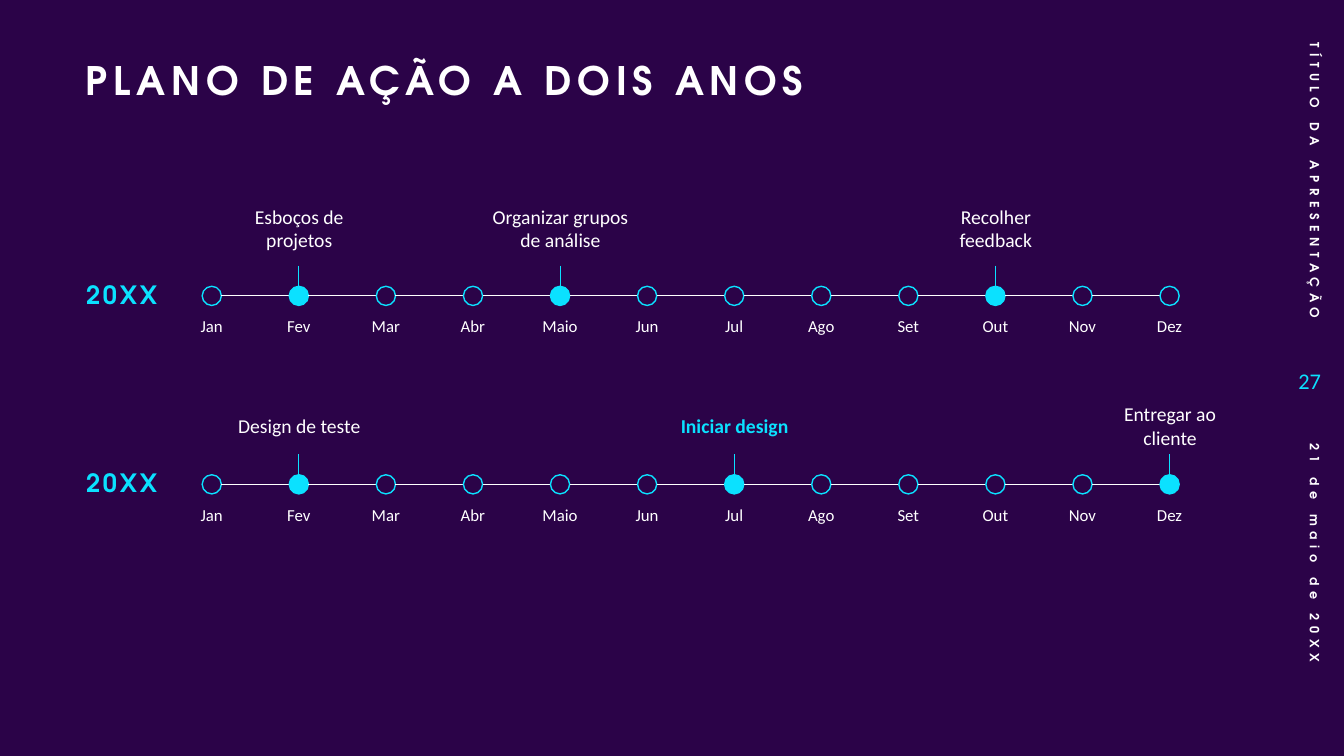
from pptx import Presentation
from pptx import util as u
from pptx.dml.color import RGBColor
from pptx.enum import shapes, text
from pptx.oxml import ns
from lxml import etree

NIGHT, CYAN, WHITE = "2B0348", "0BE1FF", "FFFFFF"
HEAD, BODY = "TeX Gyre Adventor", "Calibri"
MONTHS = "Jan Fev Mar Abr Maio Jun Jul Ago Set Out Nov Dez".split()
DOT = 0.19
LEFT, MID, RIGHT = text.PP_ALIGN.LEFT, text.PP_ALIGN.CENTER, text.PP_ALIGN.RIGHT
TOP, CORE = text.MSO_ANCHOR.TOP, text.MSO_ANCHOR.MIDDLE

TITLE = dict(size=28, name=HEAD, bold=True, gap=4, lead=0.9, align=LEFT, anchor=TOP)
YEAR = dict(size=18, name=HEAD, bold=True, tint=CYAN, gap=2, lead=0.9)
MONTH = dict(size=12, lead=1.25, anchor=TOP)
TASK = dict(size=14)
FOCUS = dict(size=14, bold=True, tint=CYAN)
SIDE = dict(size=9, name=HEAD, bold=True, gap=4)
PAGE = dict(size=16, tint=CYAN, align=RIGHT)


def paint(item, tint):
    """Give a fill, line or font a solid hex colour."""
    color = RGBColor.from_string(tint)
    if hasattr(item, "solid"):
        item.solid()
        item.fore_color.rgb = color
    else:
        item.color.rgb = color


def write(shape, words, size, name=BODY, bold=False, tint=WHITE, gap=0,
          lead=None, align=MID, anchor=CORE):
    """Fill a shape with one formatted paragraph."""
    frame = shape.text_frame
    para = frame.paragraphs[0]
    run = para.add_run()
    run.text = words
    styles = (
        (frame, dict(word_wrap=True, auto_size=text.MSO_AUTO_SIZE.NONE,
                     vertical_anchor=anchor)),
        (para, dict(alignment=align, line_spacing=lead)),
        (run.font, dict(size=u.Pt(size), name=name, bold=bold)),
    )
    for part, values in styles:
        for key, value in values.items():
            setattr(part, key, value)
    paint(run.font, tint)
    if gap:
        run._r.get_or_add_rPr().set("spc", str(gap * 100))


def label(slide, box, words, style, turn=0):
    """Add a text box, turned by some degrees."""
    shape = slide.shapes.add_textbox(*map(u.Inches, box))
    shape.rotation = turn
    write(shape, words, **style)


def rule(slide, ends, tint):
    """Draw a thin straight line between two points."""
    line = slide.shapes.add_connector(
        shapes.MSO_CONNECTOR.STRAIGHT, *map(u.Inches, ends))
    paint(line.line, tint)
    line.line.width = u.Pt(0.5)
    etree.SubElement(line._element.spPr, ns.qn("a:effectLst"))


def mark(slide, x, y, full):
    """Draw a month dot centred on a point."""
    dot = slide.shapes.add_shape(
        shapes.MSO_SHAPE.OVAL, u.Inches(x - DOT / 2), u.Inches(y - DOT / 2),
        u.Inches(DOT), u.Inches(DOT))
    dot.shadow.inherit = False
    if full:
        paint(dot.fill, CYAN)
    else:
        dot.fill.background()
    paint(dot.line, CYAN)
    dot.line.width = u.Pt(1)


def heading(slide, box, words):
    """Place the title in its box."""
    title = slide.shapes.title
    for key, value in zip(("left", "top", "width", "height"), box):
        setattr(title, key, u.Inches(value))
    write(title, words, **TITLE)


def year(slide, box, name, rise, tasks):
    """Draw one year of months, with its tasks above the line."""
    left, top, width, height = box
    y = top + height / 2
    start = left + 1.55
    step = (left + width - start) / (len(MONTHS) - 1)
    label(slide, (left, top, 1.31, height), name, YEAR)
    for i, month in enumerate(MONTHS):
        x = start + i * step
        if i:
            rule(slide, (x - step + DOT / 2, y, x - DOT / 2, y), WHITE)
        wide = 0.65 if len(month) > 3 else 0.54
        label(slide, (x - wide / 2, y + 0.1, wide, 0.99), month, MONTH)
        mark(slide, x, y, month in tasks)
        if month in tasks:
            words, style = tasks[month]
            rule(slide, (x, y - 0.3, x, y + 0.07), CYAN)
            label(slide, (x - 0.78, y - rise, 1.57, 0.64), words, style)


def margin(slide, box, name, page, date):
    """Set the turned name and date and the page number down the side."""
    left, top, width, height = box
    mid = left + width / 2
    for words, y, size, align in ((name, top + 1.52, 3.03, RIGHT),
                                  (date, top + height - 1.45, 2.9, LEFT)):
        label(slide, (mid - size / 2, y - 0.2, size, 0.4), words,
              dict(SIDE, align=align), 90)
    label(slide, (left - 0.24, top + 3.24, 0.6, 0.63), page, PAGE)


def main():
    """Build and save the slide."""
    deck = Presentation()
    deck.slide_width, deck.slide_height = u.Inches(13.33), u.Inches(7.5)
    slide = deck.slides.add_slide(deck.slide_layouts[5])
    paint(slide.background.fill, NIGHT)
    heading(slide, (0.75, 0.56, 11.5, 0.8), "PLANO DE AÇÃO A DOIS ANOS")
    year(slide, (0.55, 2.66, 11.05, 0.55), "20XX", 0.99, {
        "Fev": ("Esboços de projetos", TASK),
        "Maio": ("Organizar grupos de análise", TASK),
        "Out": ("Recolher feedback", TASK)})
    year(slide, (0.55, 4.53, 11.05, 0.55), "20XX", 0.9, {
        "Fev": ("Design de teste", TASK),
        "Jul": ("Iniciar design", FOCUS),
        "Dez": ("Entregar ao cliente", TASK)})
    margin(slide, (12.84, 0.22, 0.4, 6.98), "TÍTULO DA APRESENTAÇÃO", "27",
           "21 de maio de 20XX")
    deck.save("out.pptx")


if __name__ == "__main__":
    main()
